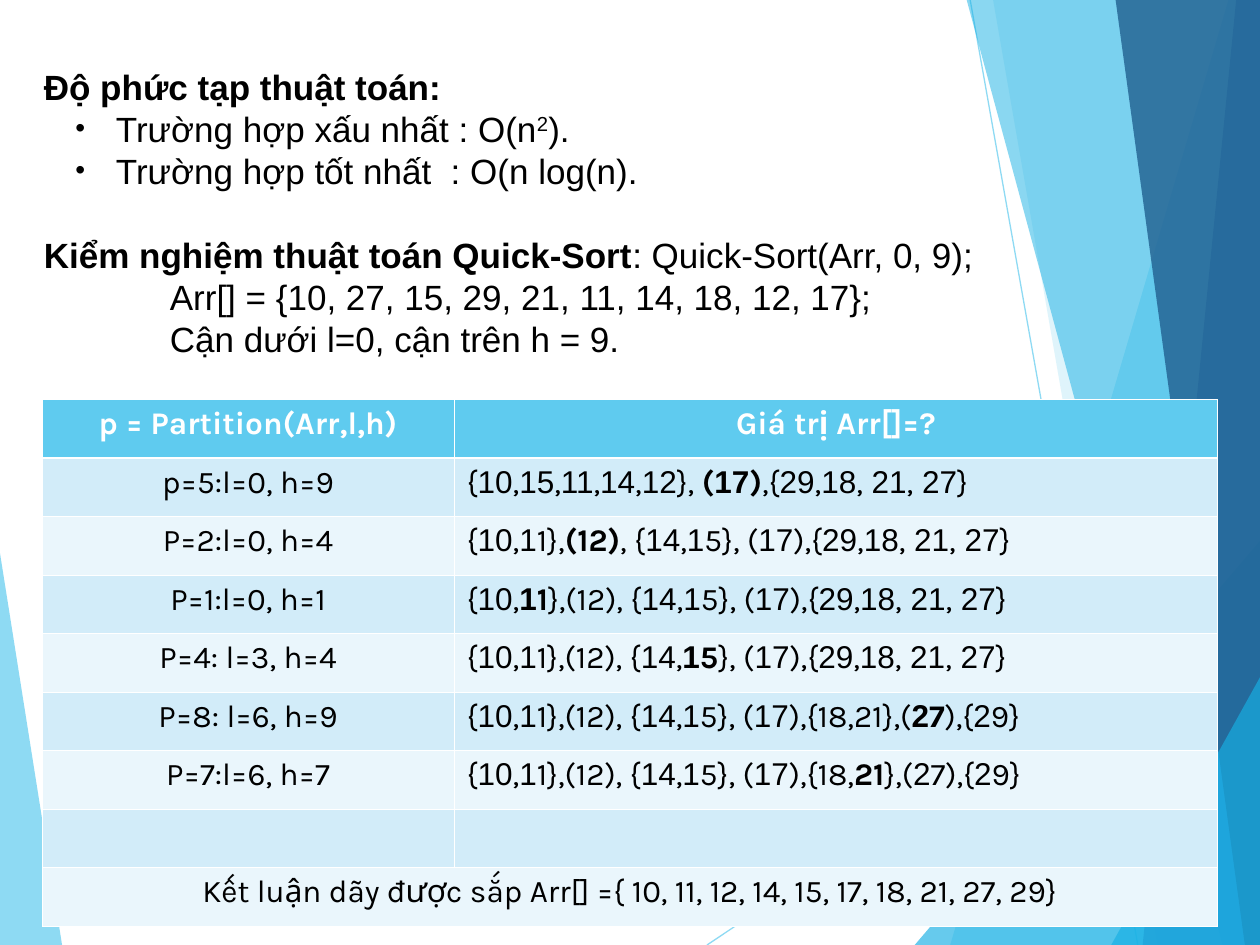
"""Build a slide on the cost of Quick-Sort with a table that traces each partition."""
from dataclasses import dataclass

from lxml.etree import SubElement
from pptx import Presentation
from pptx.dml.color import RGBColor
from pptx.enum.shapes import MSO_CONNECTOR
from pptx.enum.text import PP_ALIGN
from pptx.oxml.ns import qn
from pptx.util import Pt

SKY = RGBColor(0x5F, 0xCB, 0xEF)
CYAN = RGBColor(0x17, 0xB0, 0xE4)
BLUE = RGBColor(0x2E, 0x83, 0xC3)
NAVY = RGBColor(0x23, 0x62, 0x92)
PALE = RGBColor(0xD2, 0xEC, 0xF9)
MIST = RGBColor(0xEA, 0xF6, 0xFC)
WHITE = RGBColor(0xFF, 0xFF, 0xFF)
BLACK = RGBColor(0, 0, 0)

WIDE, HIGH = 720, 540
ROW = 33.44
HAIR, RULE = 0.45, 1.47


@dataclass
class Facet:
    color: RGBColor
    alpha: int
    points: list


@dataclass
class Ray:
    start: tuple
    end: tuple


@dataclass
class Para:
    text: str
    left: float = 0
    bullet: bool = False
    before: float = 0


DECOR = [
    Facet(SKY, 70, [(0, 316), (35.5, HIGH), (0, HIGH)]),
    Ray((404, HIGH), (WIDE, 329)),
    Ray((554.4, 0), (650.2, HIGH)),
    Facet(SKY, 36, [(702, 0), (543, HIGH), (WIDE, HIGH), (WIDE, 0)]),
    Facet(SKY, 20, [(567.5, 0), (661.5, HIGH), (WIDE, HIGH), (WIDE, 0)]),
    Facet(CYAN, 66, [(522.7, HIGH), (WIDE, 309), (WIDE, HIGH)]),
    Facet(CYAN, 50, [(552.4, 0), (698.5, HIGH), (WIDE, HIGH), (WIDE, 0)]),
    Facet(BLUE, 70, [(706.4, 0), (653, HIGH), (WIDE, HIGH), (WIDE, 0)]),
    Facet(NAVY, 82, [(637.5, 0), (711.4, HIGH), (WIDE, HIGH), (WIDE, 0)]),
    Facet(CYAN, 66, [(635, HIGH), (WIDE, 387), (WIDE, HIGH)]),
]

PARAS = [
    Para("*Độ phức tạp thuật toán:*"),
    Para(" Trường hợp xấu nhất : O(n^2^).", 36, True),
    Para(" Trường hợp tốt nhất  : O(n log(n).", 36, True),
    Para("*Kiểm nghiệm thuật toán Quick-Sort*: Quick-Sort(Arr, 0, 9);", before=24),
    Para("Arr[] = {10, 27, 15, 29, 21, 11, 14, 18, 12, 17};", 72),
    Para("Cận dưới l=0, cận trên h = 9.", 72),
]

TAIL = "{<29>,<18>,< 21>,< 27>}"
ROWS = [
    ("*p = Partition(Arr,l,h)*", "*Giá trị Arr[]=?*"),
    ("p=5:l=0, h=9", "{<10>,<15>,<11>,<14>,<12>}, *(<17>)*," + TAIL),
    ("P=2:l=0, h=4", "{<10>,<1>1},*(12)*, {<14>,<1>5}, (<17>)," + TAIL),
    ("P=1:l=0, h=1", "{<10>,*<1>1*},(12), {<14>,<1>5}, (<17>)," + TAIL),
    ("P=4: l=3, h=4", "{<10>,<1>1},(12), {<14>,*<1>5*}, (<17>)," + TAIL),
    ("P=8: l=6, h=9",
     "{<10>,<1>1},(12), {<14>,<1>5}, (<17>),{18,21},(*<2>7*),{<2>9}"),
    ("P=7:l=6, h=7",
     "{<10>,<1>1},(12), {<14>,<1>5}, (<17>),{18,*21*},(<2>7),{<2>9}"),
    ("", ""),
    ("Kết luận dãy được sắp Arr[] ={ 10, 11, 12, 14, 15, 17, 18, 21, 27, 29}", ""),
]


def fade(fill, alpha: int) -> None:
    """Set the opacity of a solid fill element, in percent."""
    tint = fill.find(".//" + qn("a:srgbClr"))
    SubElement(tint, qn("a:alpha"), val=str(alpha * 1000))


def add_facet(slide, facet: Facet) -> None:
    """Draw one see-through polygon."""
    spots = [(Pt(x), Pt(y)) for x, y in facet.points]
    pen = slide.shapes.build_freeform(*spots[0], scale=1.0)
    pen.add_line_segments(spots[1:], close=True)
    shape = pen.convert_to_shape()
    shape.shadow.inherit = False
    shape.fill.solid()
    shape.fill.fore_color.rgb = facet.color
    shape.line.fill.background()
    fade(shape._element.spPr.find(qn("a:solidFill")), facet.alpha)


def add_ray(slide, ray: Ray) -> None:
    """Draw one thin see-through line."""
    ends = [Pt(v) for v in ray.start + ray.end]
    line = slide.shapes.add_connector(MSO_CONNECTOR.STRAIGHT, *ends)
    line.line.width = Pt(0.75)
    line.line.color.rgb = SKY
    props = line._element.spPr
    fade(props.find(qn("a:ln")), 70)
    SubElement(props, qn("a:effectLst"))


def add_runs(para, text: str, size: float, font: str, color: RGBColor) -> None:
    """Add marked text: * is bold, ^ is raised, and <> is Arial."""
    bold = raised = False
    face, part = font, ""
    for char in text + "*":
        if char not in "*^<>":
            part += char
            continue
        if part:
            run = para.add_run()
            run.text = part
            run.font.size, run.font.name = Pt(size), face
            run.font.bold = bold
            run.font.color.rgb = color
            if raised:
                run.font._element.set("baseline", "30000")
            part = ""
        if char == "*":
            bold = not bold
        elif char == "^":
            raised = not raised
        else:
            face = "Arial" if char == "<" else font


def add_body(slide) -> None:
    """Write the text above the table."""
    box = slide.shapes.add_textbox(Pt(18), Pt(33.8), Pt(684), Pt(175.7))
    frame = box.text_frame
    frame.word_wrap = True
    for i, item in enumerate(PARAS):
        para = frame.add_paragraph() if i else frame.paragraphs[0]
        para.alignment = PP_ALIGN.JUSTIFY
        para.space_before = Pt(item.before)
        props = para._p.get_or_add_pPr()
        props.set("marL", str(Pt(item.left)))
        props.set("indent", str(Pt(-18 if item.bullet else 0)))
        if item.bullet:
            tint = SubElement(props, qn("a:buClr"))
            SubElement(tint, qn("a:srgbClr"), val=str(BLACK))
            SubElement(props, qn("a:buSzPct"), val="80000")
            SubElement(props, qn("a:buFont"), typeface="Arial")
            SubElement(props, qn("a:buChar"), char="•")
        add_runs(para, item.text, 20, "Arial", BLACK)


def style_cell(cell, row: int) -> None:
    """Give a cell white edges and its band colour."""
    props = cell._tc.get_or_add_tcPr()
    thick = {0: "lnB", 1: "lnT"}.get(row)
    for side in ("lnL", "lnR", "lnT", "lnB"):
        width = RULE if side == thick else HAIR
        edge = SubElement(props, qn("a:" + side), w=str(Pt(width)))
        SubElement(SubElement(edge, qn("a:solidFill")), qn("a:srgbClr"), val=str(WHITE))
    cell.fill.solid()
    cell.fill.fore_color.rgb = (PALE if row % 2 else MIST) if row else SKY


def add_trace(slide) -> None:
    """Draw the table of partition steps."""
    last = len(ROWS) - 1
    table = slide.shapes.add_table(
        len(ROWS), 2, Pt(24.1), Pt(228.4), Pt(671.8), Pt(ROW * len(ROWS))).table
    for col, width in zip(table.columns, (235.4, 436.4)):
        col.width = Pt(width)
    for i, texts in enumerate(ROWS):
        table.rows[i].height = Pt(ROW)
        for j, text in enumerate(texts):
            cell = table.cell(i, j)
            style_cell(cell, i)
            para = cell.text_frame.paragraphs[0]
            mid = j == 0 or i == 0
            para.alignment = PP_ALIGN.CENTER if mid else PP_ALIGN.LEFT
            add_runs(para, text, 18, "Karla", BLACK if i else WHITE)
    table.cell(last, 0).merge(table.cell(last, 1))


def main() -> None:
    """Build and save the slide."""
    deck = Presentation()
    deck.slide_width, deck.slide_height = Pt(WIDE), Pt(HIGH)
    slide = deck.slides.add_slide(deck.slide_layouts[6])
    for item in DECOR:
        if isinstance(item, Facet):
            add_facet(slide, item)
        else:
            add_ray(slide, item)
    add_body(slide)
    add_trace(slide)
    deck.save("out.pptx")


if __name__ == "__main__":
    main()
